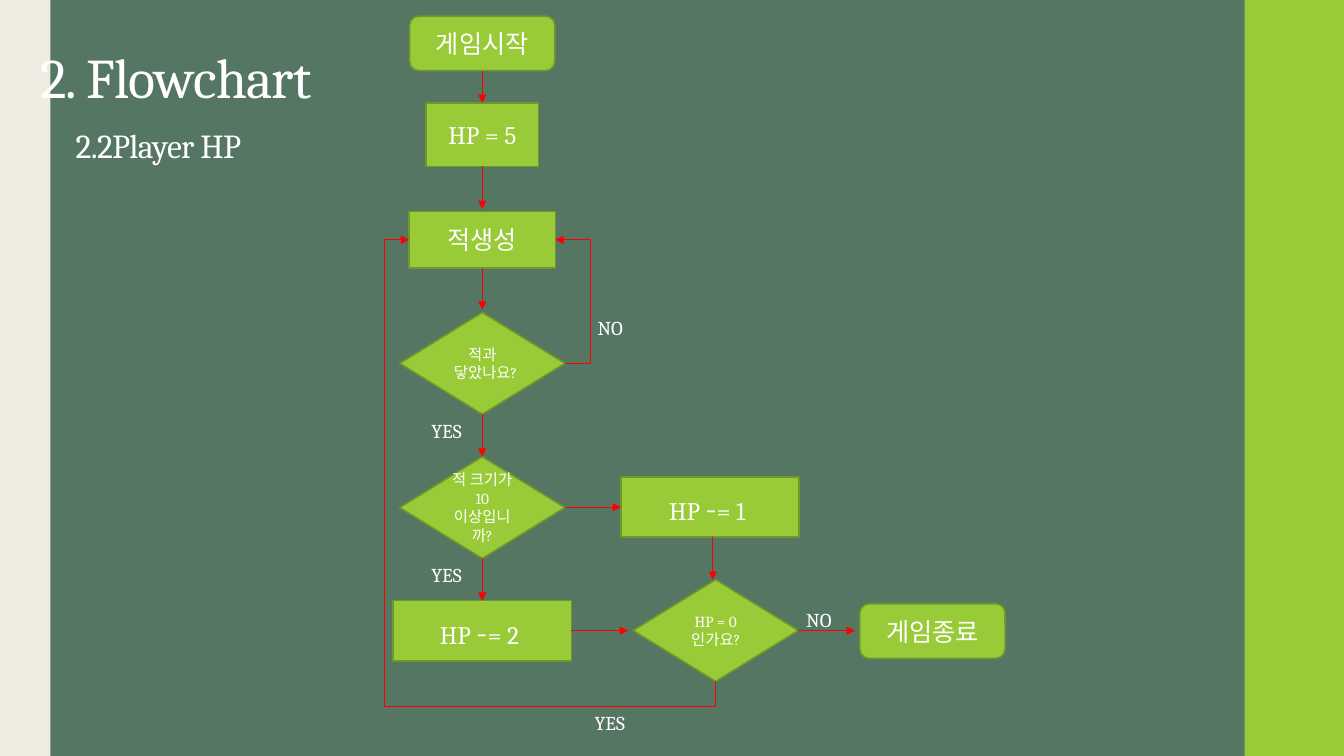
from collections import namedtuple

from lxml.etree import SubElement
from pptx import Presentation
from pptx.dml.color import RGBColor
from pptx.enum.shapes import MSO_CONNECTOR as LINK, MSO_SHAPE as SHAPE
from pptx.enum.text import MSO_ANCHOR as ANCHOR, PP_ALIGN as ALIGN
from pptx.oxml.ns import qn
from pptx.util import Pt

FONT = "Cambria"
WHITE, GREEN, DARK_GREEN = "FFFFFF", "99CB38", "719629"
RED, CREAM, SLATE = "FF0000", "EEECE0", "567664"
LOOP_GAP = 18

Step = namedtuple("Step", "left top right bottom mid_x mid_y")


def paint(color_format, color):
    """Give a fill or a font colour its hex colour."""
    color_format.rgb = RGBColor.from_string(color)


def fill_solid(fill, color):
    """Fill with one hex colour."""
    fill.solid()
    paint(fill.fore_color, color)


def add_run(paragraph, text, size):
    """Add a white run to a paragraph and return it."""
    run = paragraph.add_run()
    run.text = text
    run.font.name, run.font.size = FONT, Pt(size)
    paint(run.font.color, WHITE)
    return run


def add_block(slide, kind, left, top, width, height, color):
    """Add a plain filled shape without outline or shadow."""
    block = slide.shapes.add_shape(kind, Pt(left), Pt(top), Pt(width), Pt(height))
    block.shadow.inherit = False
    fill_solid(block.fill, color)
    block.line.fill.background()
    return block


def add_step(slide, kind, mid_x, top, width, height, lines):
    """Add a flowchart step; each line is a list of (text, size) runs."""
    left = mid_x - width / 2
    step = add_block(slide, kind, left, top, width, height, GREEN)
    fill_solid(step.line.fill, DARK_GREEN)
    step.line.width = Pt(1.1)
    frame = step.text_frame
    frame.word_wrap, frame.vertical_anchor = True, ANCHOR.MIDDLE
    for i, line in enumerate(lines):
        paragraph = frame.add_paragraph() if i else frame.paragraphs[0]
        paragraph.alignment = ALIGN.CENTER
        for text, size in line:
            add_run(paragraph, text, size)
    return Step(left, top, left + width, top + height, mid_x, top + height / 2)


def add_arrow(slide, kind, x1, y1, x2, y2):
    """Add a thin red connector with an arrowhead at its end."""
    arrow = slide.shapes.add_connector(kind, Pt(x1), Pt(y1), Pt(x2), Pt(y2))
    fill_solid(arrow.line.fill, RED)
    arrow.line.width = Pt(0.75)
    properties = arrow._element.spPr
    SubElement(properties.find(qn("a:ln")), qn("a:tailEnd"), type="triangle")
    SubElement(properties, qn("a:effectLst"))
    return arrow


def arrow_down(slide, source, target, gap=0):
    """Join two steps, one below the other."""
    x = (source.mid_x + target.mid_x) / 2
    add_arrow(slide, LINK.STRAIGHT, x, source.bottom, x, target.top - gap)


def arrow_right(slide, source, target, gap=0):
    """Join two steps side by side."""
    y = (source.mid_y + target.mid_y) / 2
    add_arrow(slide, LINK.STRAIGHT, source.right, y, target.left - gap, y)


def set_bends(arrow, preset, *ratios):
    """Set the preset of an elbow connector and where it bends."""
    geometry = arrow._element.spPr.find(qn("a:prstGeom"))
    geometry.set("prst", preset)
    guides = geometry.find(qn("a:avLst"))
    if guides is None:
        guides = SubElement(geometry, qn("a:avLst"))
    for number, ratio in enumerate(ratios, 1):
        SubElement(guides, qn("a:gd"), name=f"adj{number}",
                   fmla=f"val {round(ratio * 100000)}")


def loop_right(slide, source, target):
    """Lead from the right of a step back up to the right of another."""
    arrow = add_arrow(slide, LINK.ELBOW, source.right, source.mid_y,
                      target.right, target.mid_y)
    set_bends(arrow, "bentConnector3", -LOOP_GAP / (source.right - target.right))


def loop_under(slide, source, target):
    """Lead from under a step round to the left of a higher one."""
    across, rise = source.mid_x - target.left, source.bottom - target.mid_y
    x, y = (source.mid_x + target.left) / 2, (source.bottom + target.mid_y) / 2
    # The connector is laid out on its side, then turned by 90 degrees.
    arrow = add_arrow(slide, LINK.ELBOW, x + rise / 2, y - across / 2,
                      x - rise / 2, y + across / 2)
    arrow._element.spPr.find(qn("a:xfrm")).set("rot", "5400000")
    set_bends(arrow, "bentConnector4", -LOOP_GAP / rise, 1 + LOOP_GAP / across)


def add_label(slide, text, left, top):
    """Add the answer beside an arrow."""
    label = slide.shapes.add_textbox(Pt(left), Pt(top), Pt(44), Pt(24.5))
    label.text_frame.word_wrap = False
    add_run(label.text_frame.paragraphs[0], text, 14)


def add_side_bands(slide, width, height):
    """Add the green band on the right and the cream band on the left."""
    add_block(slide, SHAPE.RECTANGLE, width - 71, 0, 71, height, GREEN)
    add_block(slide, SHAPE.RECTANGLE, 0, 0, 36, height, CREAM)


def add_heading(slide, left, top, width, height):
    """Add the title and the indented subtitle."""
    heading = slide.shapes.add_textbox(Pt(left), Pt(top), Pt(width), Pt(height))
    frame = heading.text_frame
    frame.word_wrap, frame.vertical_anchor = True, ANCHOR.BOTTOM
    frame.margin_bottom = Pt(7.2)
    title, subtitle = frame.paragraphs[0], frame.add_paragraph()
    for paragraph, text, size in ((title, "2. Flowchart", 40),
                                  (subtitle, "2.2Player HP", 24)):
        paragraph.line_spacing = 0.9
        run = add_run(paragraph, text, size)
        run.font._element.set("spc", "-50")
    subtitle.space_before = Pt(13)
    subtitle._p.get_or_add_pPr().set("marL", str(Pt(25.5)))


def add_flowchart(slide, left, top):
    """Add the player HP flowchart with its top left corner at a point."""
    def step(kind, mid_x, y, width, height, *lines):
        return add_step(slide, kind, left + mid_x, top + y, width, height, lines)

    def terminal(mid_x, y, text):
        return step(SHAPE.ROUNDED_RECTANGLE, mid_x, y, 103.7, 39, [(text, 18)])

    def decision(mid_x, y, *texts):
        return step(SHAPE.FLOWCHART_DECISION, mid_x, y, 118, 72.7,
                    *[[(text, 11)] for text in texts])

    def damage(mid_x, y, points):
        return step(SHAPE.RECTANGLE, mid_x, y, 127.4, 43.2,
                    [("HP ", 18), ("-", 24), (f"= {points} ", 18)])

    main = 70
    start = terminal(main, 0, "게임시작")
    full_hp = step(SHAPE.RECTANGLE, main, 62, 80.6, 45.4, [("HP = 5", 18)])
    spawn = step(SHAPE.RECTANGLE, main, 139.7, 104.4, 40.3, [("적생성", 18)])
    touched = decision(main, 211.7, "적과 닿았나요?")
    big_enemy = decision(main, 314.7, "적 크기가 10이상입니까?")
    lose_two = damage(main, 417.6, 2)
    lose_one = damage(232.7, 329.1, 1)
    no_hp = decision(236.7, 402.5, "HP = 0", "인가요?")
    finish = terminal(391.6, 419.8, "게임종료")

    arrow_down(slide, start, full_hp)
    arrow_down(slide, full_hp, spawn, 2)
    arrow_down(slide, spawn, touched, 2)
    arrow_down(slide, touched, big_enemy)
    arrow_down(slide, big_enemy, lose_two)
    arrow_down(slide, lose_one, no_hp)
    arrow_right(slide, big_enemy, lose_one)
    arrow_right(slide, lose_two, no_hp, 3.6)
    arrow_right(slide, no_hp, finish, 3.6)
    loop_right(slide, touched, spawn)
    loop_under(slide, no_hp, spawn)

    for answer, x, y in (("YES", 26.5, 284.4), ("YES", 26.5, 387.4),
                         ("NO", 145.3, 210.3), ("YES", 143.1, 492.5),
                         ("NO", 294.3, 419.1)):
        add_label(slide, answer, left + x, top + y)


deck = Presentation()
deck.slide_width, deck.slide_height = Pt(960), Pt(540)
hp_slide = deck.slides.add_slide(deck.slide_layouts[6])
fill_solid(hp_slide.background.fill, SLATE)
add_side_bands(hp_slide, 960, 540)
add_heading(hp_slide, 21.5, 31, 360.7, 94.3)
add_flowchart(hp_slide, 274.5, 11.5)
deck.save("out.pptx")
